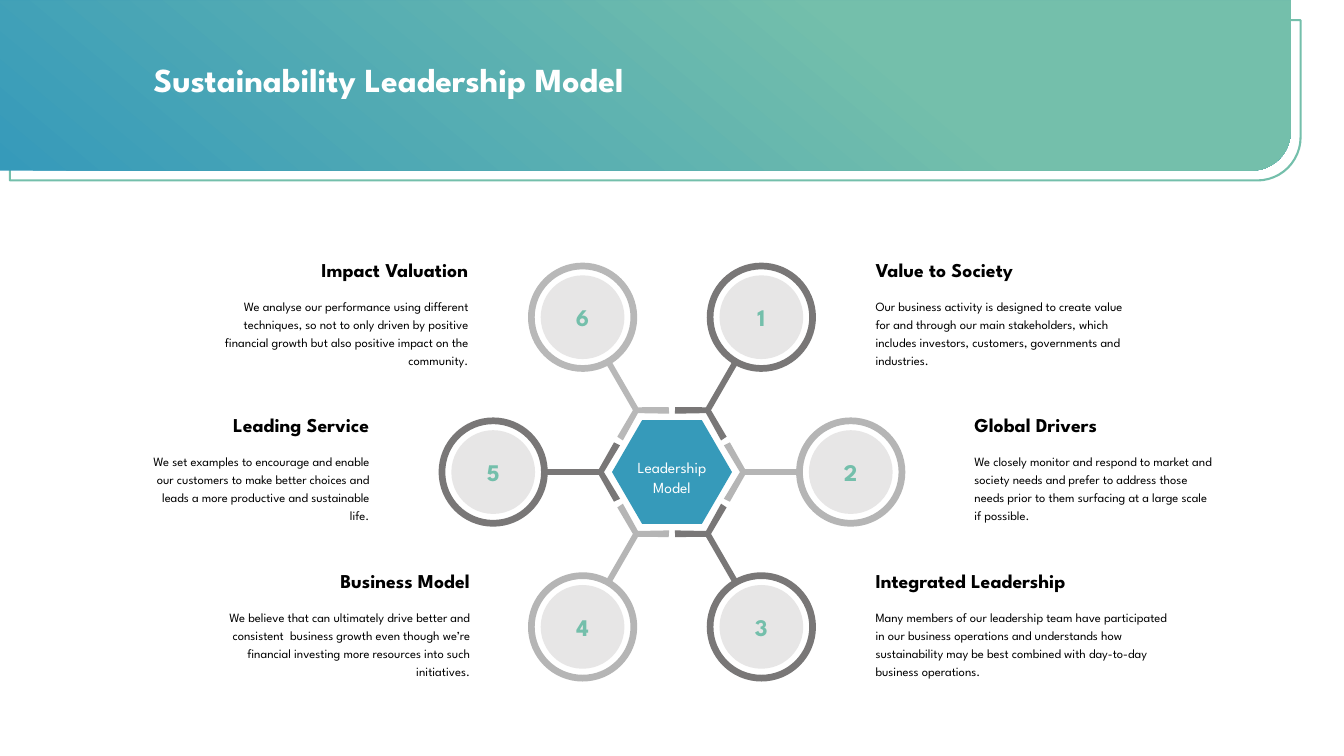
from math import asin, cos, floor, pi, radians, sin, tan

from lxml import etree
from pptx import Presentation
from pptx.dml.color import RGBColor
from pptx.enum.shapes import MSO_SHAPE
from pptx.enum.text import MSO_ANCHOR, PP_ALIGN
from pptx.oxml.ns import qn
from pptx.util import Pt

TITLE = "Sustainability Leadership Model"
HUB = "Leadership Model"

PRINCIPLES = [
    ("1", "Value to Society",
     "Our business activity is designed to create value for and through our main stakeholders, "
     "which includes investors, customers, governments and industries.",
     "dark", 620.9, 188),
    ("2", "Global Drivers",
     "We closely monitor and respond to market and society needs and prefer to address those "
     "needs prior to them surfacing at a large scale if possible.",
     "light", 691.5, 178.6),
    ("3", "Integrated Leadership",
     "Many members of our leadership team have participated in our business operations and "
     "understands how sustainability may be best combined with day-to-day business operations.",
     "dark", 620.9, 219.6),
    ("4", "Business Model",
     "We believe that can ultimately drive better and consistent  business growth even though "
     "we’re financial investing more resources into such initiatives.",
     "light", 152.2, 188),
    ("5", "Leading Service",
     "We set examples to encourage and enable our customers to make better choices and leads "
     "a more productive and sustainable life.",
     "dark", 104.1, 164.2),
    ("6", "Impact Valuation",
     "We analyse our performance using different techniques, so not to only driven by positive "
     "financial growth but also positive impact on the community.",
     "pale", 151, 188),
]

THEME = {
    "font": "League Spartan",
    "blue": RGBColor.from_string("369ABA"),
    "green": RGBColor.from_string("74BFAB"),
    "dark": RGBColor.from_string("797777"),
    "light": RGBColor.from_string("B5B5B5"),
    "pale": RGBColor.from_string("B8B8B8"),
    "disc": RGBColor.from_string("E7E6E6"),
    "text": RGBColor.from_string("000000"),
    "white": RGBColor.from_string("FFFFFF"),
    "title_size": 24,
    "number_size": 17,
    "heading_size": 14,
    "hub_size": 11,
    "body_size": 9,
}

HUB_X, HUB_Y = 480, 337.2
HUB_WIDTH, HUB_HEIGHT = 85.7, 74.2
NODE_DISTANCE = 127.7
RING_OUTER, RING_INNER, DISC_RADIUS = 39, 34.2, 29.9
ARM_HALF = 2.1
BRACKET = [(52.2, ARM_HALF), (41.4, 21.2), (37.1, 19.1), (48.6, 0),
           (37.1, -19.1), (41.4, -21.2), (52.2, -ARM_HALF)]
MIDDLE_BLOCK_TOP, BLOCK_PITCH = 290.7, 111.2


def style(paragraph, size, color, bold=False, align=PP_ALIGN.LEFT):
    paragraph.alignment = align
    for run in paragraph.runs:
        run.font.name = THEME["font"]
        run.font.size = Pt(THEME[size])
        run.font.bold = bold
        run.font.color.rgb = THEME[color]


def set_frame(text_frame, inset, anchor=MSO_ANCHOR.TOP):
    text_frame.word_wrap = True
    text_frame.vertical_anchor = anchor
    text_frame.margin_left = text_frame.margin_right = Pt(inset)
    text_frame.margin_top = text_frame.margin_bottom = Pt(inset)


def paint(shape, color):
    shape.shadow.inherit = False
    shape.fill.solid()
    shape.fill.fore_color.rgb = THEME[color]
    shape.line.fill.background()


def add_centred(slide, kind, x, y, width, height):
    return slide.shapes.add_shape(
        kind, Pt(x - width / 2), Pt(y - height / 2), Pt(width), Pt(height))


def add_rounded_band(slide, x, y, width, height, rounding):
    band = add_centred(slide, MSO_SHAPE.ROUND_1_RECTANGLE,
                       x + width / 2, y + height / 2, height, width)
    band.rotation = 90
    band.adjustments[0] = rounding
    band.shadow.inherit = False
    return band


def add_header(slide):
    outline = add_rounded_band(slide, 7, 14.4, 922, 114.5, 0.27)
    outline.fill.background()
    outline.line.color.rgb = THEME["green"]
    outline.line.width = Pt(1.5)

    banner = add_rounded_band(slide, 0, 0.2, 922, 121.7, 0.23)
    banner.line.fill.background()
    banner.fill.gradient()
    banner.fill.gradient_angle = 140
    start, end = banner.fill.gradient_stops
    start.color.rgb = THEME["blue"]
    end.color.rgb = THEME["green"]
    end.position = 0.69

    title = slide.shapes.add_textbox(Pt(78.5), Pt(39.7), Pt(398.2), Pt(33.1))
    set_frame(title.text_frame, 2.2)
    title.text_frame.text = TITLE
    style(title.text_frame.paragraphs[0], "title_size", "white", True, PP_ALIGN.CENTER)


def arc(x, y, radius, start, end):
    quarter = pi / 2
    first, last = floor(start / quarter + 0.01) + 1, floor(end / quarter - 0.01)
    stops = [start] + [quarter * step for step in range(first, last + 1)] + [end]
    points = [(x + radius * cos(start), y + radius * sin(start))]
    for begin, finish in zip(stops, stops[1:]):
        reach = radius * 4 / 3 * tan((finish - begin) / 4)
        for angle, handle in ((begin, reach), (finish, -reach), (finish, 0)):
            points.append((x + radius * cos(angle) - handle * sin(angle),
                           y + radius * sin(angle) + handle * cos(angle)))
    return points


def bend(move, handles):
    lines = []
    for _ in range(handles):
        lines.append((lines[-1] if lines else move).getnext())
    for index in range(0, handles, 3):
        curve = etree.Element(qn("a:cubicBezTo"))
        lines[index].addprevious(curve)
        for line in lines[index:index + 3]:
            curve.append(line[0])
            line.getparent().remove(line)


def add_spoke(slide, angle, color):
    x = HUB_X + NODE_DISTANCE * cos(angle)
    y = HUB_Y + NODE_DISTANCE * sin(angle)
    opening = asin(ARM_HALF / RING_OUTER)
    ring = arc(x, y, RING_OUTER, angle + pi + opening, angle + 3 * pi - opening)
    hole = arc(x, y, RING_INNER, 0, 2 * pi)
    bracket = [(HUB_X + along * cos(angle) - across * sin(angle),
                HUB_Y + along * sin(angle) + across * cos(angle))
               for along, across in BRACKET]
    contours = [[(Pt(px), Pt(py)) for px, py in points] for points in (ring + bracket, hole)]
    builder = slide.shapes.build_freeform(*contours[0][0])
    builder.add_line_segments(contours[0][1:], close=True)
    builder.move_to(*contours[1][0])
    builder.add_line_segments(contours[1][1:], close=True)
    spoke = builder.convert_to_shape()
    paint(spoke, color)
    for move, curve in zip(list(spoke.element.iter(qn("a:moveTo"))), (ring, hole)):
        bend(move, len(curve) - 1)
    return x, y


def add_disc(slide, x, y, number):
    disc = add_centred(slide, MSO_SHAPE.OVAL, x, y, 2 * DISC_RADIUS, 2 * DISC_RADIUS)
    paint(disc, "disc")
    set_frame(disc.text_frame, 1.4, MSO_ANCHOR.MIDDLE)
    disc.text_frame.text = number
    style(disc.text_frame.paragraphs[0], "number_size", "green", True, PP_ALIGN.CENTER)


def add_block(slide, left, top, width, heading, body):
    box = slide.shapes.add_textbox(Pt(left), Pt(top), Pt(width), Pt(87.1))
    set_frame(box.text_frame, 4.5)
    align = PP_ALIGN.RIGHT if left < HUB_X else PP_ALIGN.LEFT
    box.text_frame.text = heading + "\n" + body
    heading_paragraph, body_paragraph = box.text_frame.paragraphs
    style(heading_paragraph, "heading_size", "text", True, align)
    style(body_paragraph, "body_size", "text", False, align)
    body_paragraph.line_spacing = Pt(12.8)
    body_paragraph.space_before = Pt(10.5)


def add_hub(slide):
    hub = add_centred(slide, MSO_SHAPE.HEXAGON, HUB_X, HUB_Y, HUB_WIDTH, HUB_HEIGHT)
    hub.adjustments[0] = 0.29
    paint(hub, "blue")
    set_frame(hub.text_frame, 0, MSO_ANCHOR.MIDDLE)
    hub.text_frame.margin_top = Pt(6)
    hub.text_frame.text = HUB
    paragraph = hub.text_frame.paragraphs[0]
    style(paragraph, "hub_size", "white", False, PP_ALIGN.CENTER)
    paragraph.line_spacing = Pt(14.2)


def main():
    presentation = Presentation()
    presentation.slide_width, presentation.slide_height = Pt(960), Pt(540)
    slide = presentation.slides.add_slide(presentation.slide_layouts[6])
    add_header(slide)
    for index, (number, heading, body, color, left, width) in enumerate(PRINCIPLES):
        angle = radians(60 * (index - 1))
        x, y = add_spoke(slide, angle, color)
        add_disc(slide, x, y, number)
        top = MIDDLE_BLOCK_TOP + BLOCK_PITCH * sin(angle) / sin(pi / 3)
        add_block(slide, left, top, width, heading, body)
    add_hub(slide)
    presentation.save("out.pptx")


if __name__ == "__main__":
    main()
